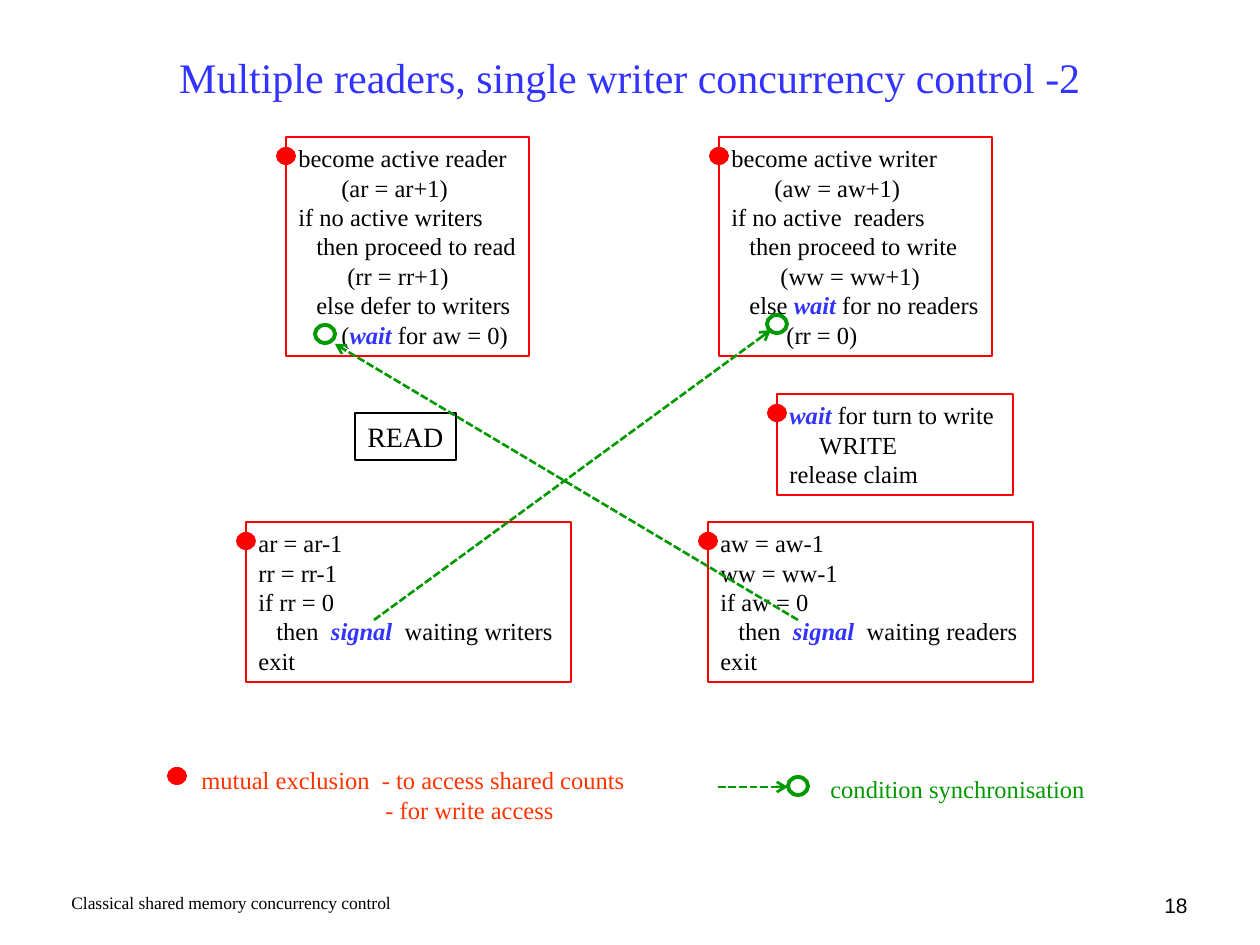
from lxml import etree
from pptx import Presentation
from pptx import util as u
from pptx.dml.color import RGBColor
from pptx.enum import dml, shapes, text
from pptx.oxml.ns import qn

PX = 914400 // 126
BLACK = RGBColor(0, 0, 0)
RED = RGBColor(255, 0, 0)
ORANGE = RGBColor(255, 51, 0)
GREEN = RGBColor(0, 153, 0)
BLUE = RGBColor(51, 51, 255)
DOT = (20, 18)

# Each line is (indent in px, words); words between asterisks are stressed.
BOXES = [
    ((286, 137, 243, 219), [
        (0, "become active reader"), (43, "(ar = ar+1)"),
        (0, "if no active writers"), (18, "then proceed to read"),
        (49, "(rr = rr+1)"), (18, "else defer to writers"),
        (43, "(*wait* for aw = 0)")]),
    ((719, 137, 273, 219), [
        (0, "become active writer"), (43, "(aw = aw+1)"),
        (0, "if no active  readers"), (18, "then proceed to write"),
        (49, "(ww = ww+1)"), (18, "else *wait* for no readers"),
        (55, "(rr = 0)")]),
    ((777, 394, 236, 101), [
        (0, "*wait* for turn to write"), (30, "WRITE"),
        (0, "release claim")]),
    ((246, 522, 325, 160), [
        (0, "ar = ar-1"), (0, "rr = rr-1"), (0, "if rr = 0"),
        (18, "then  *signal*  waiting writers"), (0, "exit")]),
    ((708, 522, 325, 160), [
        (0, "aw = aw-1"), (0, "ww = ww-1"), (0, "if aw = 0"),
        (18, "then  *signal*  waiting readers"), (0, "exit")]),
]
READ = (355, 413, 101, 47)
RINGS = [(315, 325), (767, 315), (788, 777)]
ARROWS = [(718, 787, 788, 787), (798, 620, 335, 344), (374, 620, 771, 330)]
TITLE = "Multiple readers, single writer concurrency control -2"
LABELS = [
    ((63, 38, 1134, 77), [(0, TITLE)],
     dict(size=24, color=BLUE, align="CENTER", anchor="MIDDLE")),
    ((59, 886, 542, 37),
     [(0, "Classical shared memory concurrency control")], dict(size=10)),
    ((903, 886, 297, 40), [(0, "18")],
     dict(size=12, font="Arial", align="RIGHT")),
    ((189, 759, 449, 72),
     [(0, "mutual exclusion  - to access shared counts"),
      (184, "- for write access")], dict(color=ORANGE)),
    ((818, 768, 280, 43), [(0, "condition synchronisation")],
     dict(color=GREEN)),
]


def emu(vals):
    return [v * PX for v in vals]


def write(shape, lines, size=14, color=BLACK, font="Times New Roman",
          align="LEFT", anchor="TOP"):
    frame = shape.text_frame
    frame.word_wrap = align != "LEFT"
    frame.vertical_anchor = getattr(text.MSO_ANCHOR, anchor)
    for i, (indent, words) in enumerate(lines):
        para = frame.add_paragraph() if i else frame.paragraphs[0]
        para.alignment = getattr(text.PP_ALIGN, align)
        if indent:
            para._p.get_or_add_pPr().set("marL", str(indent * PX))
        for j, part in enumerate(words.split("*")):
            if not part:
                continue
            stress = j % 2 == 1
            run = para.add_run()
            run.text = part
            run.font.name = font
            run.font.size = u.Pt(size)
            run.font.bold = run.font.italic = stress
            run.font.color.rgb = BLUE if stress else color


def draw(slide, kind, rect, fill=None, line=None, width=1.5):
    shape = slide.shapes.add_shape(kind, *emu(rect))
    shape.shadow.inherit = False
    if fill is None:
        shape.fill.background()
    else:
        shape.fill.solid()
        shape.fill.fore_color.rgb = fill
    if line is None:
        shape.line.fill.background()
    else:
        shape.line.color.rgb = line
        shape.line.width = u.Pt(width)
    return shape


def arrow(slide, ends):
    link = slide.shapes.add_connector(
        shapes.MSO_CONNECTOR.STRAIGHT, *emu(ends))
    link.line.color.rgb = GREEN
    link.line.width = u.Pt(1.5)
    link.line.dash_style = dml.MSO_LINE.SQUARE_DOT
    etree.SubElement(link.line._get_or_add_ln(), qn("a:tailEnd"), type="arrow")
    etree.SubElement(link._element.spPr, qn("a:effectLst"))


def main():
    deck = Presentation()
    deck.slide_width, deck.slide_height = emu((1260, 945))
    slide = deck.slides.add_slide(deck.slide_layouts[6])
    rect, oval = shapes.MSO_SHAPE.RECTANGLE, shapes.MSO_SHAPE.OVAL

    for place, lines, style in LABELS:
        write(slide.shapes.add_textbox(*emu(place)), lines, **style)
    for place, lines in BOXES:
        write(draw(slide, rect, place, line=RED), lines)
    write(draw(slide, rect, READ, line=BLACK), [(0, "READ")], size=16)

    # A dot sits on the left edge of every box; the last one is the key.
    dots = [(x - DOT[0] // 2, y + 10) for (x, y, _, _), _ in BOXES]
    for spot in dots + [(167, 767)]:
        draw(slide, oval, spot + DOT, fill=RED)
    for spot in RINGS:
        draw(slide, oval, spot + DOT, line=GREEN, width=2.25)
    for ends in ARROWS:
        arrow(slide, ends)
    deck.save("out.pptx")


if __name__ == "__main__":
    main()
